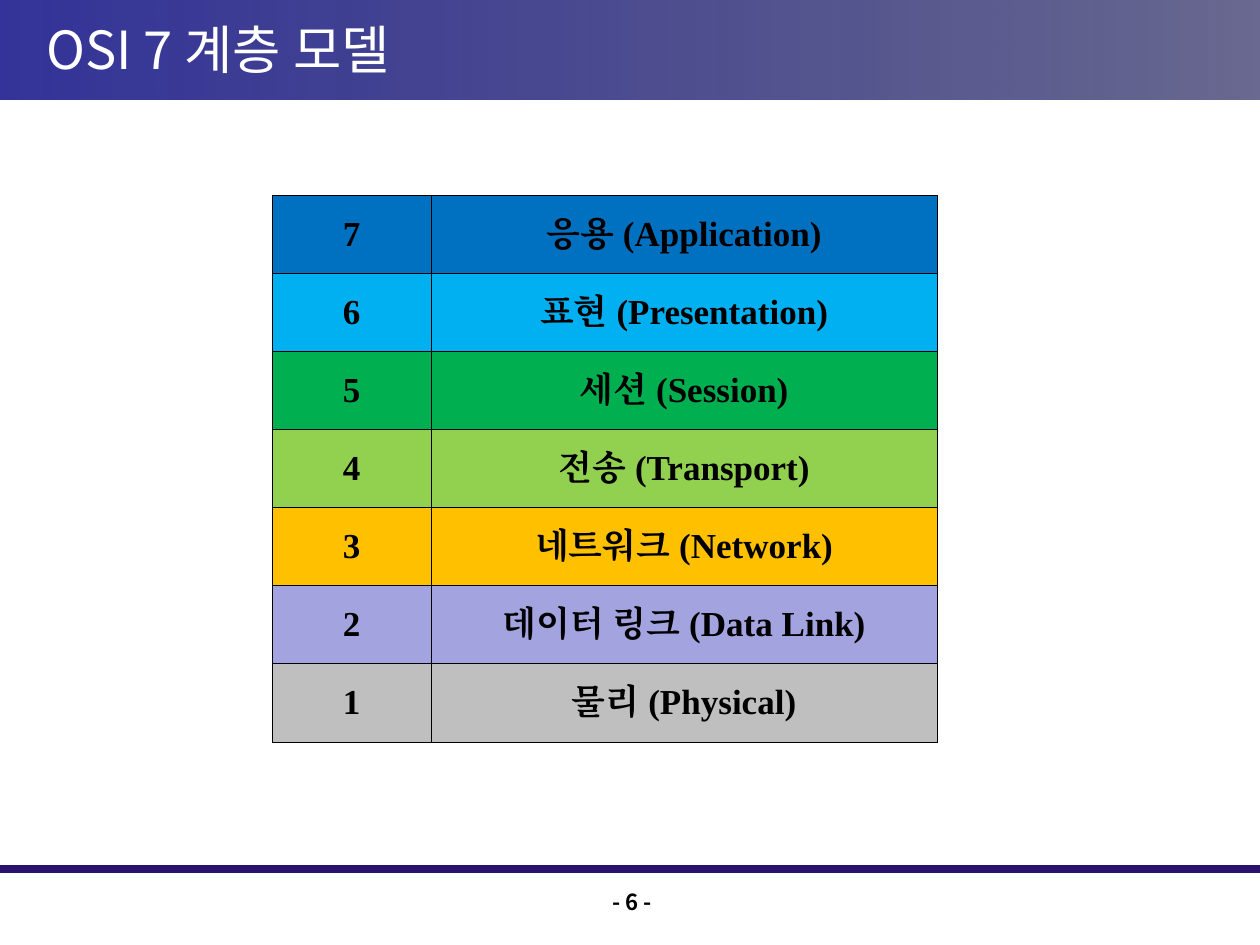
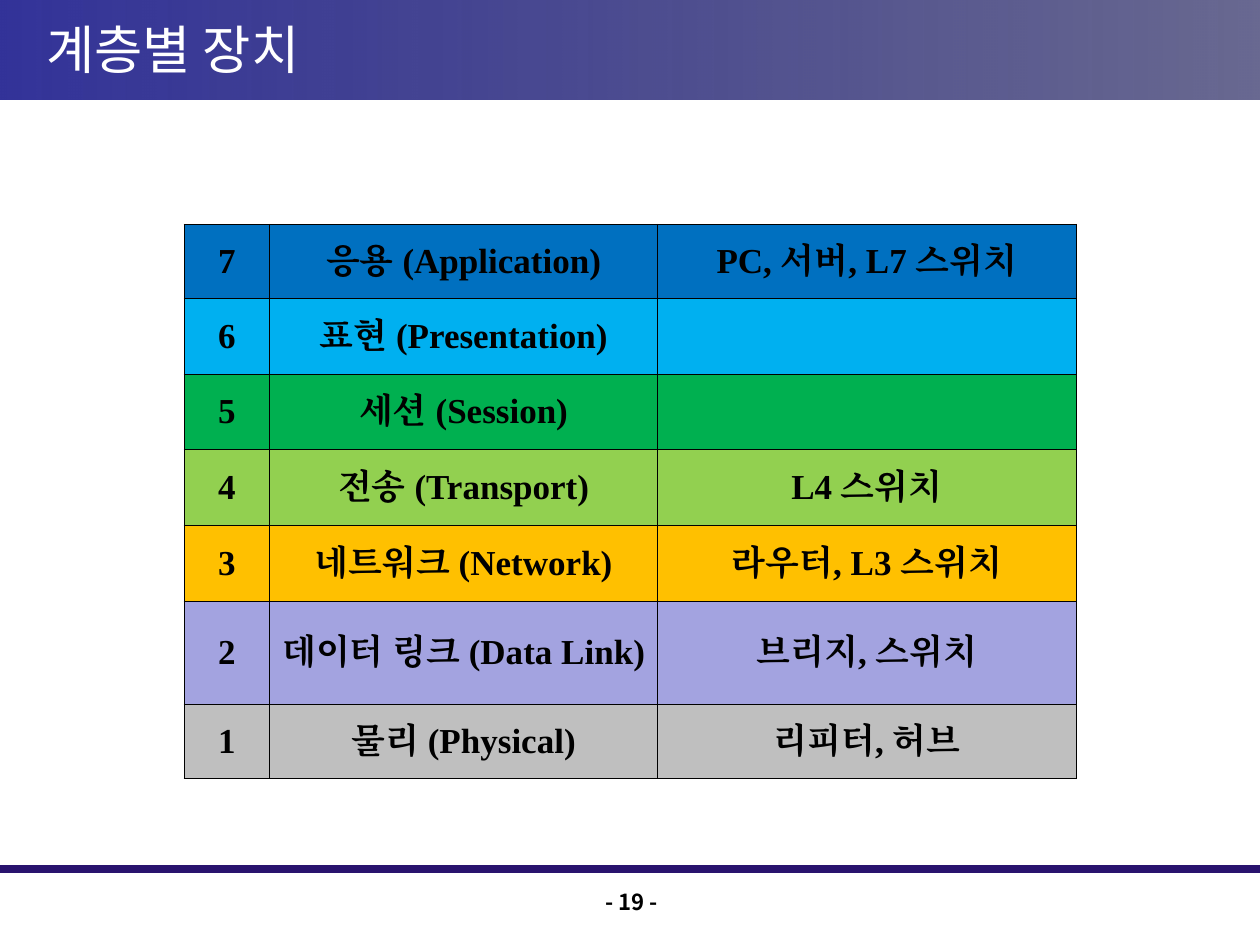
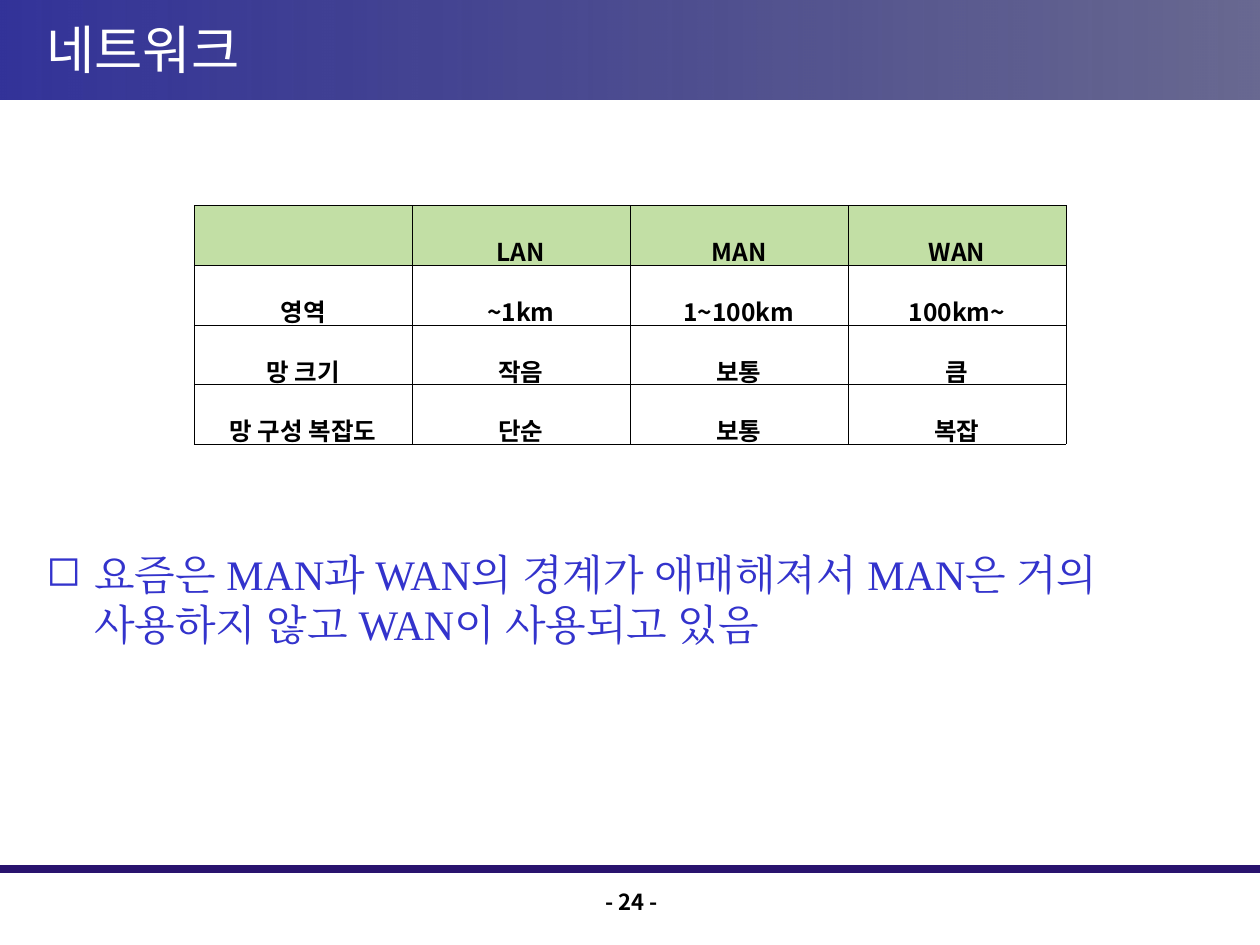
from dataclasses import dataclass
from typing import Optional

from lxml.etree import SubElement
from pptx import Presentation
from pptx.dml.color import RGBColor
from pptx.enum.shapes import MSO_CONNECTOR, MSO_SHAPE
from pptx.enum.text import MSO_ANCHOR, PP_ALIGN
from pptx.oxml.ns import qn
from pptx.util import Inches, Pt

# Shared look
SANS = "Noto Sans CJK KR"
SERIF = "Times New Roman"
BLACK = RGBColor(0x00, 0x00, 0x00)
WHITE = RGBColor(0xFF, 0xFF, 0xFF)
BAND_START = RGBColor(0x33, 0x33, 0x99)
BAND_END = RGBColor(0x1F, 0x1F, 0x5C)
FOOTER_LINE = RGBColor(0x29, 0x13, 0x6E)
BODY_BLUE = RGBColor(0x33, 0x33, 0xCC)
HEADER_GREEN = RGBColor(0xC2, 0xDF, 0xA5)


@dataclass(frozen=True)
class Layer:
    name: str
    devices: str
    color: RGBColor


@dataclass(frozen=True)
class TableStyle:
    font: str
    size: float
    border: float
    margin: float = 0.1
    spacing: Optional[float] = None


LAYERS = [
    Layer("응용 (Application)", "PC, 서버, L7 스위치", RGBColor(0x00, 0x70, 0xC0)),
    Layer("표현 (Presentation)", "", RGBColor(0x00, 0xB0, 0xF0)),
    Layer("세션 (Session)", "", RGBColor(0x00, 0xB0, 0x50)),
    Layer("전송 (Transport)", "L4 스위치", RGBColor(0x92, 0xD0, 0x50)),
    Layer("네트워크 (Network)", "라우터, L3 스위치", RGBColor(0xFF, 0xC0, 0x00)),
    Layer("데이터 링크 (Data Link)", "브리지, 스위치", RGBColor(0xA3, 0xA3, 0xE0)),
    Layer("물리 (Physical)", "리피터, 허브", RGBColor(0xBF, 0xBF, 0xBF)),
]
LAYER_COLORS = [layer.color for layer in LAYERS]
LAYER_STYLE = TableStyle(SERIF, 20, 0.45)

NETWORK_ROWS = [
    ["", "LAN", "MAN", "WAN"],
    ["영역", "~1km", "1~100km", "100km~"],
    ["망 크기", "작음", "보통", "큼"],
    ["망 구성 복잡도", "단순", "보통", "복잡"],
]
NETWORK_COLORS = [HEADER_GREEN, None, None, None]
NETWORK_STYLE = TableStyle(SANS, 14, 0.11, margin=0.07, spacing=1.6)


def write(tf, text: str, *, font: str, size: float, color: RGBColor = BLACK,
          bold: bool = False, align=PP_ALIGN.LEFT, spacing: Optional[float] = None):
    p = tf.paragraphs[0]
    p.alignment = align
    if spacing:
        p.line_spacing = spacing
    r = p.add_run()
    r.text = text
    r.font.name, r.font.size, r.font.bold = font, Pt(size), bold
    r.font.color.rgb = color
    SubElement(r.font._element, qn("a:ea"), typeface=font)
    return p


def add_text(slide, text: str, left: float, top: float, width: float, height: float,
             *, anchor=MSO_ANCHOR.TOP, **fmt):
    tf = slide.shapes.add_textbox(
        Inches(left), Inches(top), Inches(width), Inches(height)).text_frame
    tf.word_wrap = True
    tf.vertical_anchor = anchor
    return write(tf, text, **fmt)


def add_border(cell, width: float) -> None:
    tc_pr = cell._tc.get_or_add_tcPr()
    for side in ("lnL", "lnR", "lnT", "lnB"):
        ln = SubElement(tc_pr, qn(f"a:{side}"), w=str(Pt(width)))
        fill = SubElement(ln, qn("a:solidFill"))
        SubElement(fill, qn("a:srgbClr"), val=str(BLACK))


def add_grid(slide, rows: list[list[str]], colors: list, left: float, top: float,
             widths: list[float], heights: list[float], style: TableStyle) -> None:
    table = slide.shapes.add_table(
        len(rows), len(widths), Inches(left), Inches(top),
        Inches(sum(widths)), Inches(sum(heights))).table
    table.first_row = table.horz_banding = False
    for column, width in zip(table.columns, widths):
        column.width = Inches(width)
    for row, height, texts, color in zip(table.rows, heights, rows, colors):
        row.height = Inches(height)
        for cell, text in zip(row.cells, texts):
            cell.vertical_anchor = MSO_ANCHOR.MIDDLE
            cell.margin_left = cell.margin_right = Inches(style.margin)
            add_border(cell, style.border)
            if color is None:
                cell.fill.background()
            else:
                cell.fill.solid()
                cell.fill.fore_color.rgb = color
            if text:
                write(cell.text_frame, text, font=style.font, size=style.size,
                      bold=True, align=PP_ALIGN.CENTER, spacing=style.spacing)


def add_page(prs, title: str, number: int):
    slide = prs.slides.add_slide(prs.slide_layouts[6])

    # Title band, fading to a translucent end
    sp = slide.shapes.add_shape(MSO_SHAPE.RECTANGLE, 0, 0, prs.slide_width, Inches(0.79))
    sp.shadow.inherit = False
    sp.line.fill.background()
    sp.fill.gradient()
    sp.fill.gradient_angle = 0
    for stop, color in zip(sp.fill.gradient_stops, (BAND_START, BAND_END)):
        stop.color.rgb = color
    end_color = list(sp._element.spPr.iter(qn("a:srgbClr")))[-1]
    SubElement(end_color, qn("a:alpha"), val="67000")
    add_text(slide, title, 0.27, 0.03, 9.45, 0.71, anchor=MSO_ANCHOR.MIDDLE,
             font=SANS, size=30, color=WHITE)

    # Footer line and page number
    line = slide.shapes.add_connector(
        MSO_CONNECTOR.STRAIGHT, 0, Inches(6.9), prs.slide_width, Inches(6.9))
    line.line.color.rgb = FOOTER_LINE
    line.line.width = Pt(4.5)
    SubElement(line._element.spPr, qn("a:effectLst"))
    add_text(slide, f"- {number} -", 3.85, 7.04, 2.33, 0.36, font=SANS, size=12.6,
             bold=True, align=PP_ALIGN.CENTER, spacing=0.8)
    return slide


def add_bullet(slide, text: str, left: float, top: float, width: float, height: float) -> None:
    p = add_text(slide, text, left, top, width, height,
                 font=SERIF, size=24, color=BODY_BLUE)
    p_pr = p._p.get_or_add_pPr()
    p_pr.set("marL", str(Inches(0.38)))
    p_pr.set("indent", str(-Inches(0.38)))
    bullet_color = SubElement(p_pr, qn("a:buClr"))
    SubElement(bullet_color, qn("a:srgbClr"), val=str(BODY_BLUE))
    SubElement(p_pr, qn("a:buChar"), char="◻")


def main() -> None:
    prs = Presentation()
    prs.slide_width, prs.slide_height = Inches(10), Inches(7.5)
    names = [[str(7 - i), layer.name] for i, layer in enumerate(LAYERS)]

    # The seven layers
    slide = add_page(prs, "OSI 7 계층 모델", 6)
    add_grid(slide, names, LAYER_COLORS, 2.16, 1.55, [1.26, 4.02], [0.62] * 7, LAYER_STYLE)

    # Devices on each layer
    slide = add_page(prs, "계층별 장치", 19)
    devices = [row + [layer.devices] for row, layer in zip(names, LAYERS)]
    heights = [0.59] + [0.6] * 4 + [0.82, 0.59]
    add_grid(slide, devices, LAYER_COLORS, 1.46, 1.78, [0.68, 3.08, 3.32],
             heights, LAYER_STYLE)

    # Network types
    slide = add_page(prs, "네트워크", 24)
    add_bullet(slide, "요즘은 MAN과 WAN의 경계가 애매해져서 MAN은 거의 사용하지 않고 "
                      "WAN이 사용되고 있음", 0.27, 4.3, 9.45, 0.95)
    add_grid(slide, NETWORK_ROWS, NETWORK_COLORS, 1.54, 1.63, [1.73] * 4,
             [0.41] * 4, NETWORK_STYLE)

    prs.save("out.pptx")


if __name__ == "__main__":
    main()
